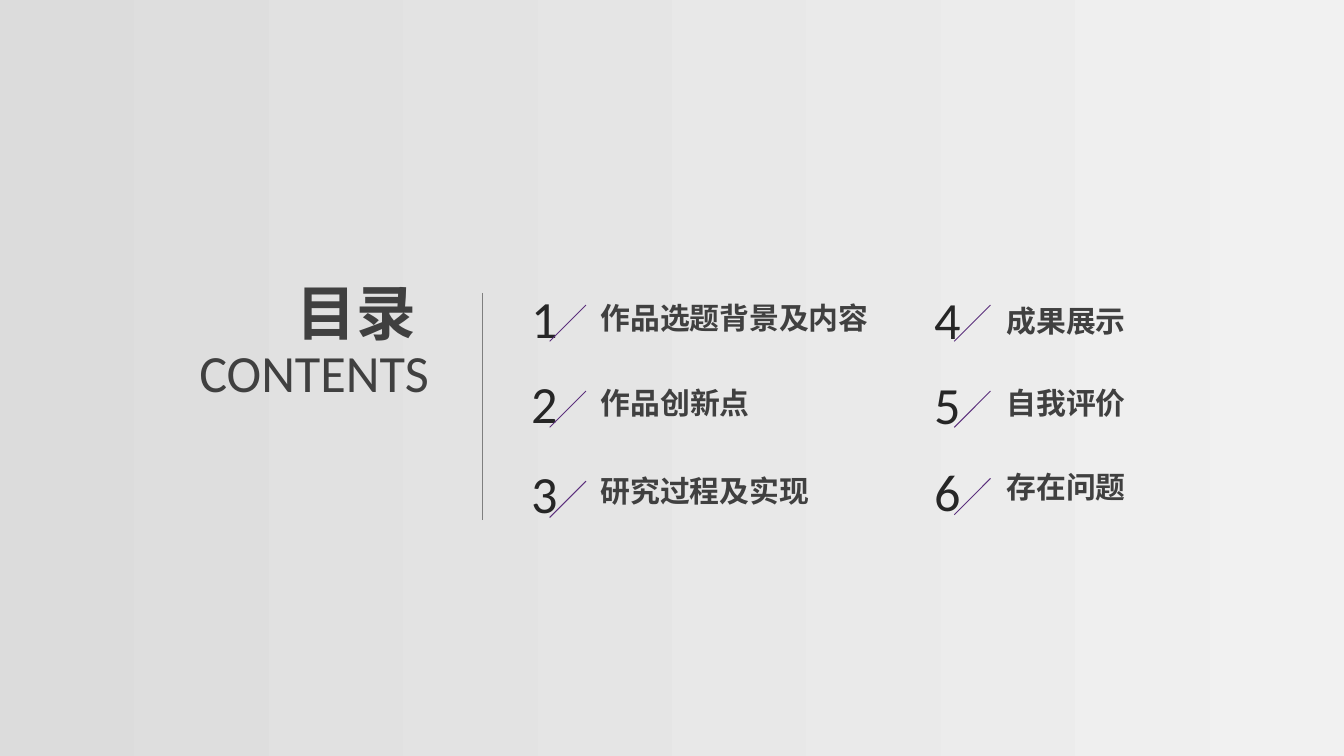
from pptx import Presentation
from pptx.dml.color import RGBColor
from pptx.enum.shapes import MSO_CONNECTOR as Connector
from pptx.enum.text import MSO_AUTO_SIZE as AutoSize, PP_ALIGN as Align
from pptx.oxml.ns import qn
from pptx.util import Inches, Pt
from lxml.etree import SubElement

SLIDE_WIDTH = 10
SLIDE_HEIGHT = SLIDE_WIDTH * 9 / 16

HEADING = "目录"
SUBHEADING = "CONTENTS"
# Each column: the left edge of each part, and the tops of its rows.
COLUMNS = [
    dict(entries=["作品选题背景及内容", "作品创新点", "研究过程及实现"],
         numeral_left=3.9, slash_left=4.09, label_left=4.42,
         numeral_tops=[2.08, 2.71, 3.38], slash_tops=[2.27, 2.91, 3.58],
         label_tops=[2.18, 2.81, 3.47], label_widths=[2.1, 1.22, 1.67]),
    dict(entries=["成果展示", "自我评价", "存在问题"],
         numeral_left=6.9, slash_left=7.1, label_left=7.44,
         numeral_tops=[2.09, 2.72, 3.37], slash_tops=[2.27, 2.91, 3.56],
         label_tops=[2.2, 2.81, 3.44], label_widths=[1, 1, 1]),
]
NUMERAL_WIDTH, NUMERAL_HEIGHT = 0.3, 0.54
SLASH_SIZE = 0.27
LABEL_HEIGHT = 0.37

THEME = dict(
    latin="Calibri", chinese="Noto Sans CJK SC",
    heading=32, subheading=28, numeral=28, label=16, hairline=0.5,
    text="404040", numeral_color="262626",
    slash="5C307D", divider="7F7F7F", backdrop=("DCDCDC", "F1F1F1"),
)


def add_text(shapes, text, left, top, width, height, *, size, font,
             color=THEME["text"], bold=False, align=Align.LEFT, wrap=False):
    box = shapes.add_textbox(*map(Inches, (left, top, width, height)))
    frame = box.text_frame
    frame.margin_left = frame.margin_right = Inches(0.05)
    frame.margin_top = frame.margin_bottom = Inches(0.05)
    frame.word_wrap = wrap
    frame.auto_size = AutoSize.SHAPE_TO_FIT_TEXT
    paragraph = frame.paragraphs[0]
    paragraph.alignment = align
    run = paragraph.add_run()
    run.text = text
    run.font.size = Pt(size)
    run.font.bold = bold
    run.font.color.rgb = RGBColor.from_string(color)
    run.font.name = font
    SubElement(run.font._element, qn("a:ea"), typeface=font)


def add_hairline(shapes, start, end, color):
    line = shapes.add_connector(Connector.STRAIGHT, *map(Inches, start + end))
    line.line.color.rgb = RGBColor.from_string(color)
    line.line.width = Pt(THEME["hairline"])
    SubElement(line._element.spPr, qn("a:effectLst"))


def add_entry(slide, column, row, number):
    marker = slide.shapes.add_group_shape().shapes
    add_text(marker, str(number), column["numeral_left"],
             column["numeral_tops"][row], NUMERAL_WIDTH, NUMERAL_HEIGHT,
             size=THEME["numeral"], font=THEME["latin"],
             color=THEME["numeral_color"], align=Align.CENTER)
    left, top = column["slash_left"], column["slash_tops"][row]
    add_hairline(marker, (left + SLASH_SIZE, top), (left, top + SLASH_SIZE),
                 THEME["slash"])
    add_text(slide.shapes, column["entries"][row], column["label_left"],
             column["label_tops"][row], column["label_widths"][row],
             LABEL_HEIGHT, size=THEME["label"], font=THEME["chinese"],
             bold=True)


def main():
    deck = Presentation()
    deck.slide_width = Inches(SLIDE_WIDTH)
    deck.slide_height = Inches(SLIDE_HEIGHT)
    slide = deck.slides.add_slide(deck.slide_layouts[6])

    backdrop = slide.background.fill
    backdrop.gradient()
    backdrop.gradient_angle = 0
    for stop, color in zip(backdrop.gradient_stops, THEME["backdrop"]):
        stop.color.rgb = RGBColor.from_string(color)

    title = slide.shapes.add_group_shape().shapes
    add_text(title, SUBHEADING, 0.24, 2.48, 3, 0.54, size=THEME["subheading"],
             font=THEME["latin"], align=Align.RIGHT, wrap=True)
    add_text(title, HEADING, 2.16, 2, 1, 0.73, size=THEME["heading"],
             font=THEME["chinese"], bold=True)
    add_hairline(slide.shapes, (3.59, 2.18), (3.59, 3.87), THEME["divider"])

    number = 1
    for column in COLUMNS:
        for row in range(len(column["entries"])):
            add_entry(slide, column, row, number)
            number += 1

    deck.save("out.pptx")


if __name__ == "__main__":
    main()
